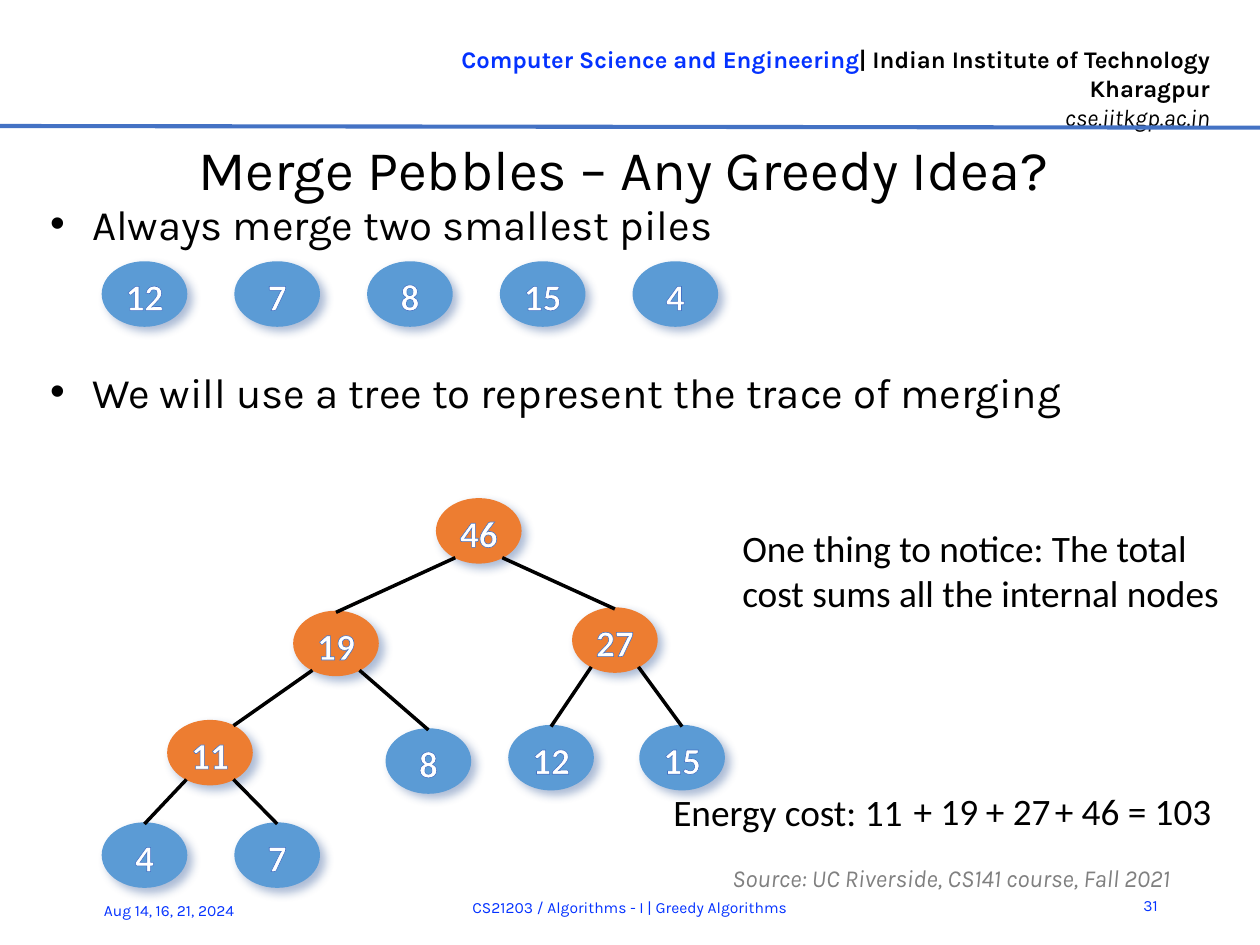
from lxml import etree
from pptx import Presentation
from pptx.dml.color import RGBColor
from pptx.enum.shapes import MSO_CONNECTOR as Connector, MSO_SHAPE as Shape
from pptx.enum.text import MSO_ANCHOR as Anchor, PP_ALIGN as Align
from pptx.oxml import parse_xml
from pptx.oxml.ns import nsdecls, qn
from pptx.util import Inches, Pt

BLACK = RGBColor(0x00, 0x00, 0x00)
WHITE = RGBColor(0xFF, 0xFF, 0xFF)
GREY = RGBColor(0x80, 0x80, 0x80)
INK_BLUE = RGBColor(0x04, 0x32, 0xFF)
RULE_BLUE = RGBColor(0x44, 0x72, 0xC4)
LEAF_BLUE = RGBColor(0x5B, 0x9B, 0xD5)
SUM_ORANGE = RGBColor(0xED, 0x7D, 0x31)
SHADOW_BLUE = RGBColor(0x2F, 0x55, 0x97)

# Content
HEADER = [
    [("Computer Science and Engineering", INK_BLUE, True, False),
     ("| Indian Institute of Technology Kharagpur", BLACK, True, False)],
    [("cse.iitkgp.ac.in", BLACK, False, True)],
]
TITLE = "Merge Pebbles – Any Greedy Idea?"
BULLETS = [("Always merge two smallest piles", 0),
           ("We will use a tree to represent the trace of merging", 51)]
SOURCE = "Source: UC Riverside, CS141 course, Fall 2021"
FOOTERS = [  # text, left, top, width, alignment
    ("Aug 14, 16, 21, 2024", 0.52, 5.27, 1.31, Align.LEFT),
    ("CS21203 / Algorithms - I | Greedy Algorithms", 1.24, 5.25, 5.02, Align.CENTER),
    ("31", 6.62, 5.24, 0.37, Align.RIGHT),
]
PILES = ["12", "7", "8", "15", "4"]
TREE = {  # node: (label, centre x, centre y)
    "root": ("46", 2.85, 3.16),
    "left": ("19", 2.00, 3.83),
    "right": ("27", 3.66, 3.81),
    "low": ("11", 1.25, 4.48),
    "leaf 8": ("8", 2.55, 4.53),
    "leaf 12": ("12", 3.28, 4.51),
    "leaf 15": ("15", 4.06, 4.51),
    "leaf 4": ("4", 0.86, 5.09),
    "leaf 7": ("7", 1.65, 5.09),
}
CHILDREN = {"root": ("left", "right"), "left": ("low", "leaf 8"),
            "right": ("leaf 12", "leaf 15"), "low": ("leaf 4", "leaf 7")}
NOTICE = "One thing to notice: The total cost sums all the internal nodes"
COST = [("Energy cost: 11", 3.91, 4.65, 1.59), ("+ 19", 5.34, 4.64, 0.59),
        ("+ 27", 5.77, 4.64, 0.59), ("+ 46 = 103", 6.18, 4.64, 1.15)]

# Geometry
PAGE_W = 7.5
PAGE_H = PAGE_W * 3 / 4
NODE_W, NODE_H = 0.51, 0.39
PILE_X, PILE_Y, PILE_STEP = 0.86, 1.75, 0.79
SIDE_X, SIDE_Y = 0.14, 0.16  # where an edge meets a node's shoulder

deck = Presentation()
deck.slide_width, deck.slide_height = Inches(PAGE_W), Inches(PAGE_H)
page = deck.slides.add_slide(deck.slide_layouts[6])


def add_span(para, text, size, color, font="Karla", bold=False, italic=False):
    span = para.add_run()
    span.text = text
    span.font.name, span.font.size = font, Pt(size)
    span.font.bold, span.font.italic = bold, italic
    span.font.color.rgb = color
    return span


def add_box(left, top, width, height, anchor=Anchor.TOP, wrap=True):
    frame = page.shapes.add_textbox(
        Inches(left), Inches(top), Inches(width), Inches(height)).text_frame
    frame.word_wrap, frame.vertical_anchor = wrap, anchor
    return frame


def add_line(start, end, color, weight):
    line = page.shapes.add_connector(
        Connector.STRAIGHT, *(Inches(value) for value in (*start, *end)))
    line.line.color.rgb, line.line.width = color, Pt(weight)
    etree.SubElement(line._element.spPr, qn("a:effectLst"))


def add_node(label, x, y, color):
    node = page.shapes.add_shape(
        Shape.OVAL, Inches(x - NODE_W / 2), Inches(y - NODE_H / 2),
        Inches(NODE_W), Inches(NODE_H))
    node.fill.solid()
    node.fill.fore_color.rgb = color
    node.line.fill.background()
    node._element.spPr.append(parse_xml(
        f'<a:effectLst {nsdecls("a")}><a:outerShdw blurRad="{Pt(4)}" dist="{Pt(3)}" '
        f'dir="2700000" algn="tl" rotWithShape="0"><a:srgbClr val="{SHADOW_BLUE}">'
        '<a:alpha val="40000"/></a:srgbClr></a:outerShdw></a:effectLst>'))
    frame = node.text_frame
    frame.word_wrap, frame.vertical_anchor = False, Anchor.MIDDLE
    frame.margin_left = frame.margin_right = frame.margin_bottom = 0
    frame.margin_top = Inches(0.02)
    para = frame.paragraphs[0]
    para.alignment = Align.CENTER
    span = add_span(para, label, 16, WHITE, "Calibri", bold=True)
    span.font._element.insert(0, parse_xml(
        f'<a:ln {nsdecls("a")} w="{Pt(0.8)}"><a:solidFill>'
        f'<a:srgbClr val="{RULE_BLUE}"/></a:solidFill></a:ln>'))


# Header and rule
frame = add_box(2.1, 0.22, 5.2, 0.44)
for index, spans in enumerate(HEADER):
    para = frame.add_paragraph() if index else frame.paragraphs[0]
    para.alignment = Align.RIGHT
    for text, color, bold, italic in spans:
        add_span(para, text, 10.2, color, bold=bold, italic=italic)
add_line((0, 0.75), (PAGE_W, 0.76), RULE_BLUE, 1.75)

# Title
frame = add_box(0.24, 0.79, 6.94, 0.41, Anchor.MIDDLE)
frame.margin_left = frame.margin_right = frame.margin_bottom = 0
frame.margin_top = Inches(0.01)
frame.paragraphs[0].alignment = Align.CENTER
add_span(frame.paragraphs[0], TITLE, 24, BLACK)

# Bullets
frame = add_box(0.2, 1.18, 7.03, 4.05)
for index, (text, gap) in enumerate(BULLETS):
    para = frame.add_paragraph() if index else frame.paragraphs[0]
    para.line_spacing, para.space_before, para.space_after = Pt(18), Pt(gap), Pt(3)
    props = para._p.get_or_add_pPr()
    props.set("marL", str(Inches(0.25)))
    props.set("indent", str(-Inches(0.25)))
    etree.SubElement(props, qn("a:buFont"), typeface="Arial")
    etree.SubElement(props, qn("a:buChar"), char="•")
    add_span(para, text, 18, BLACK)

# Source and footers
frame = add_box(4.26, 5.09, 3.18, 0.2, Anchor.MIDDLE)
frame.paragraphs[0].line_spacing = Pt(18)
add_span(frame.paragraphs[0], SOURCE, 10.5, GREY, italic=True)
for text, left, top, width, alignment in FOOTERS:
    para = add_box(left, top, width, 0.3, Anchor.MIDDLE).paragraphs[0]
    para.alignment = alignment
    add_span(para, text, 6.7, INK_BLUE)

# Row of piles
for index, label in enumerate(PILES):
    add_node(label, PILE_X + index * PILE_STEP, PILE_Y, LEAF_BLUE)

# Merge tree: nodes, then edges
for name, (label, x, y) in TREE.items():
    add_node(label, x, y, SUM_ORANGE if name in CHILDREN else LEAF_BLUE)
for parent, children in CHILDREN.items():
    _, parent_x, parent_y = TREE[parent]
    for side, child in zip((-1, 1), children):
        _, x, y = TREE[child]
        end = (x, y - NODE_H / 2 + 0.01)
        if child == "low":
            end = (x + SIDE_X, y - SIDE_Y)
        add_line((parent_x + side * SIDE_X, parent_y + SIDE_Y), end, BLACK, 1.5)

# Cost remarks
for text, left, top, width in COST:
    add_span(add_box(left, top, width, 0.37, wrap=False).paragraphs[0],
             text, 16, BLACK, "Calibri")
add_span(add_box(4.32, 3.08, 3.12, 0.64).paragraphs[0], NOTICE, 16, BLACK, "Calibri")

deck.save("out.pptx")
